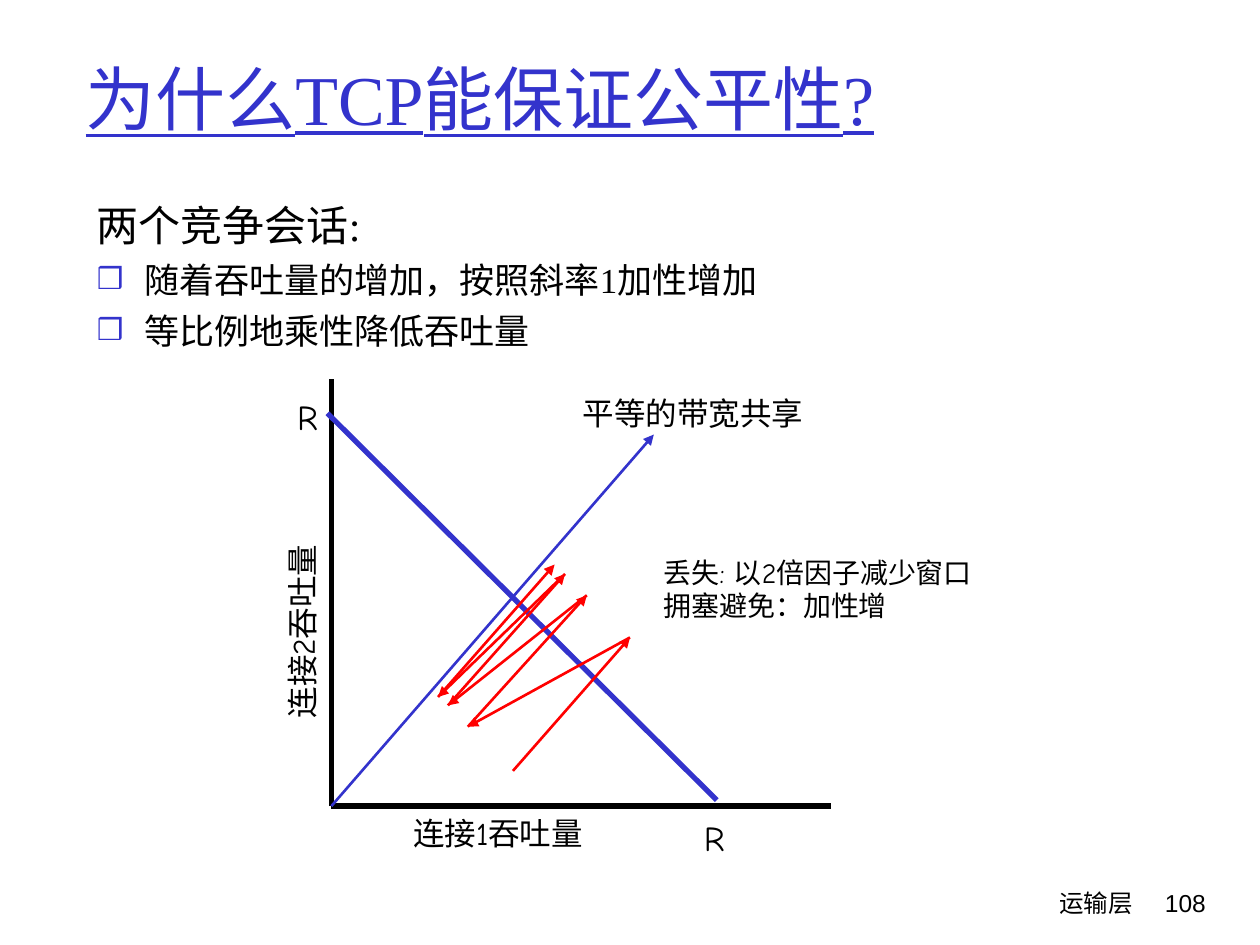
from dataclasses import dataclass
from itertools import pairwise

from lxml import etree
from pptx import Presentation
from pptx import util as u
from pptx.dml.color import RGBColor
from pptx.enum import shapes, text
from pptx.oxml.ns import qn


@dataclass(frozen=True)
class Theme:
    ink: str = "000000"
    accent: str = "3333CC"
    loss: str = "FF0000"
    serif: str = "Times New Roman"
    comic: str = "Comic Neue"
    sans: str = "Arial"
    title: int = 40
    lead: int = 24
    item: int = 20
    label: int = 18
    note: int = 16
    footer: int = 14
    thick: float = 3
    thin: float = 1.5


THEME = Theme()
LEFT, CENTER, RIGHT = text.PP_ALIGN.LEFT, text.PP_ALIGN.CENTER, text.PP_ALIGN.RIGHT


def apply(target, values):
    for name, value in values.items():
        setattr(target, name, value)


def place(shape, box):
    apply(shape, dict(zip(("left", "top", "width", "height"), map(u.Cm, box))))


def write(paragraph, words, size, font, color=THEME.ink, **extra):
    run = paragraph.add_run()
    run.text = words
    apply(run.font, {"size": u.Pt(size), "name": font, **extra})
    run.font.color.rgb = RGBColor.from_string(color)


def paragraphs(frame, count):
    return [frame.paragraphs[0]] + [frame.add_paragraph() for _ in range(count - 1)]


def add_label(slide, box, lines, size, align=CENTER, wrap=True, rotation=0):
    shape = slide.shapes.add_textbox(*map(u.Cm, box))
    shape.rotation = rotation
    frame = shape.text_frame
    frame.word_wrap = wrap
    for paragraph, (words, font) in zip(paragraphs(frame, len(lines)), lines):
        paragraph.alignment = align
        write(paragraph, words, size, font)


def add_line(slide, start, end, color, width, arrow=False):
    line = slide.shapes.add_connector(
        shapes.MSO_CONNECTOR.STRAIGHT, *map(u.Cm, (*start, *end)))
    line.line.color.rgb = RGBColor.from_string(color)
    line.line.width = u.Pt(width)
    if arrow:
        etree.SubElement(line.line._get_or_add_ln(), qn("a:tailEnd"), type="triangle")
    etree.SubElement(line._element.spPr, qn("a:effectLst"))


def set_bullet(paragraph, character):
    properties = paragraph._p.get_or_add_pPr()
    indent = u.Cm(0.95)
    properties.set("marL", str(indent))
    properties.set("indent", str(-indent))
    if not character:
        etree.SubElement(properties, qn("a:buNone"))
        return
    color = etree.SubElement(properties, qn("a:buClr"))
    etree.SubElement(color, qn("a:srgbClr"), val=THEME.accent)
    etree.SubElement(properties, qn("a:buSzPct"), val="85000")
    etree.SubElement(properties, qn("a:buChar"), char=character)


def fill_title(shape, words):
    place(shape, (1.47, 0.64, 21.59, 2.64))
    apply(shape.text_frame, {"vertical_anchor": text.MSO_ANCHOR.MIDDLE,
                             "auto_size": text.MSO_AUTO_SIZE.NONE})
    paragraph = shape.text_frame.paragraphs[0]
    paragraph.alignment = LEFT
    write(paragraph, words, THEME.title, THEME.serif, THEME.accent, underline=True)


def fill_body(shape, lead, items):
    place(shape, (1.7, 3.89, 23.06, 12.9))
    frame = shape.text_frame
    frame.auto_size = text.MSO_AUTO_SIZE.NONE
    rows = [(lead, THEME.lead, None, 0)]
    rows += [(item, THEME.item, "❒", 5) for item in items]
    for paragraph, row in zip(paragraphs(frame, len(rows)), rows):
        words, size, bullet, space = row
        set_bullet(paragraph, bullet)
        apply(paragraph, {"alignment": LEFT, "space_before": u.Pt(space)})
        write(paragraph, words, size, THEME.serif)


def draw_axes(slide):
    origin = (6.68, 16.25)
    for end in ((16.76, 16.25), (6.68, 7.65)):
        add_line(slide, origin, end, THEME.ink, THEME.thick)
    add_line(slide, origin, (13.18, 8.76), THEME.accent, THEME.thin, arrow=True)
    add_line(slide, (6.6, 8.33), (14.45, 16.13), THEME.accent, THEME.thick)


def draw_labels(slide):
    for left, top in ((5.64, 7.85), (13.84, 16.33)):
        add_label(slide, (left, top, 1.12, 1.12), [("R", THEME.comic)], THEME.item)
    for left, top, words, rotation in (
        (9.04, 7.82, "平等的带宽共享", 0),
        (5.11, 16.28, "连接1吞吐量", 0),
        (1.17, 12.22, "连接2吞吐量", 270),
    ):
        add_label(slide, (left, top, 9.86, 1.02), [(words, THEME.comic)],
                  THEME.label, rotation=rotation)
    add_label(slide, (13.13, 11.07, 7.26, 1.63),
              [("丢失: 以2倍因子减少窗口", THEME.comic), ("拥塞避免：加性增", THEME.serif)],
              THEME.note, LEFT, wrap=False)


def draw_convergence(slide):
    turns = [(10.34, 15.54), (12.7, 12.85), (9.43, 14.65), (11.83, 12),
             (9.03, 14.22), (11.39, 11.57), (8.83, 14.05), (11.18, 11.38)]
    for start, end in pairwise(turns):
        add_line(slide, start, end, THEME.loss, THEME.thin, arrow=True)


def main():
    presentation = Presentation()
    apply(presentation, {"slide_width": u.Cm(25.4), "slide_height": u.Cm(19.05)})
    slide = presentation.slides.add_slide(presentation.slide_layouts[1])
    fill_title(slide.shapes.title, "为什么TCP能保证公平性?")
    fill_body(slide.placeholders[1], "两个竞争会话:",
              ["随着吞吐量的增加，按照斜率1加性增加", "等比例地乘性降低吞吐量"])
    draw_axes(slide)
    draw_labels(slide)
    draw_convergence(slide)
    add_label(slide, (15.04, 17.78, 8.05, 1.27), [("运输层", THEME.comic)],
              THEME.footer, RIGHT)
    add_label(slide, (22.68, 17.78, 1.88, 1.27), [("108", THEME.sans)],
              THEME.footer, RIGHT)
    presentation.save("out.pptx")


if __name__ == "__main__":
    main()
